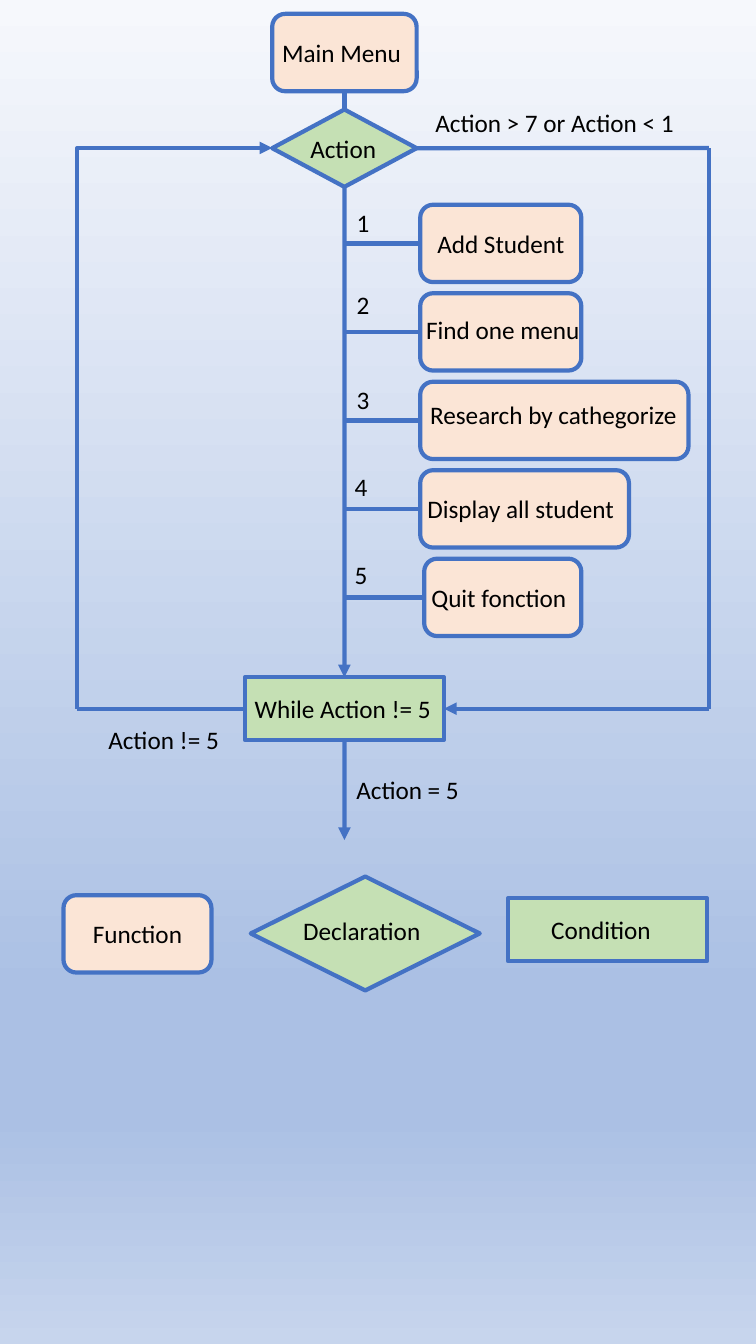
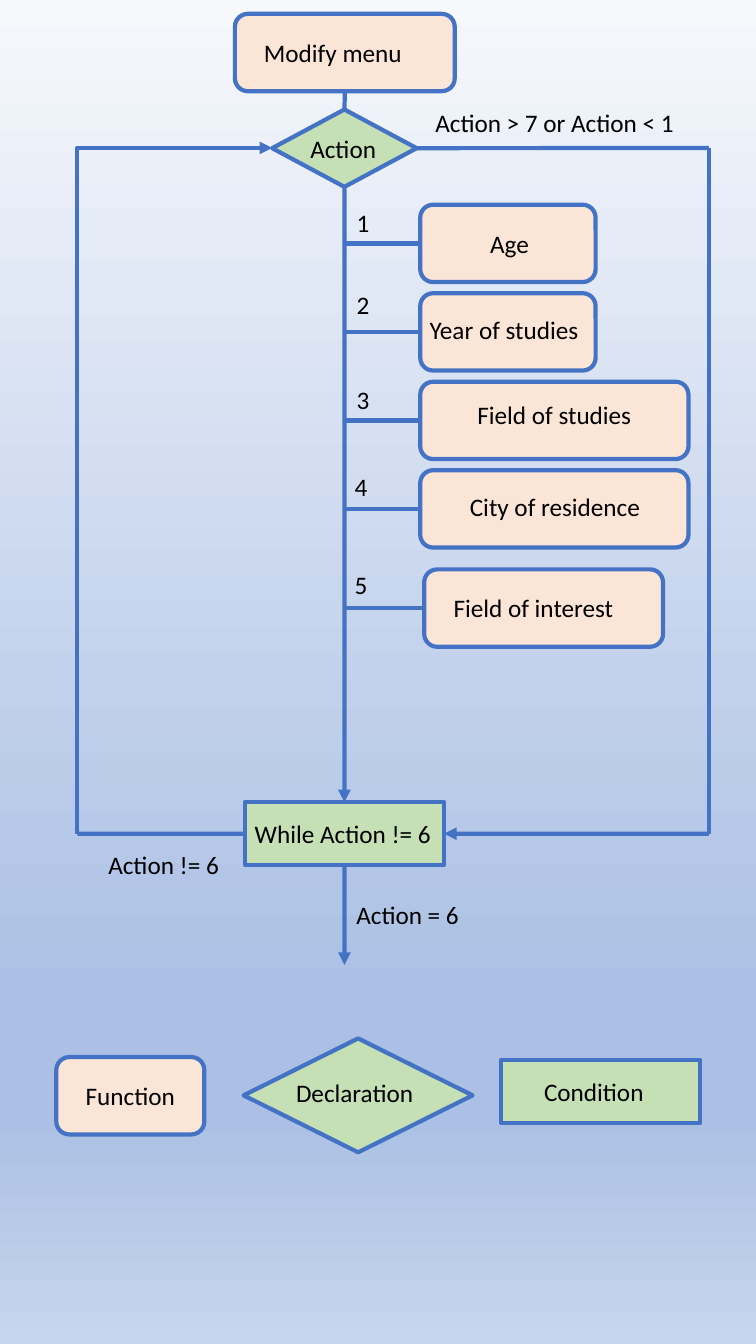
from dataclasses import dataclass

from lxml.etree import SubElement
from pptx import Presentation
from pptx.dml.color import RGBColor
from pptx.enum.shapes import MSO_CONNECTOR as Connector, MSO_SHAPE as Preset
from pptx.enum.text import MSO_AUTO_SIZE as AutoSize, PP_ALIGN as Align
from pptx.oxml.ns import qn
from pptx.util import Cm, Pt

TOP, LEFT, BOTTOM, RIGHT = range(4)


@dataclass(frozen=True)
class Theme:
    font: str = "Calibri"
    text_size: float = 18
    line_width: float = 3
    text: str = "000000"
    line: str = "4472C4"
    function: str = "FBE5D6"
    decision: str = "C5E0B4"
    backdrop: tuple = ((0, "F6F8FC"), (74, "ABC0E4"), (83, "ABC0E4"), (100, "C7D5ED"))


# Shared measures, in centimetres
CAPTION_HEIGHT = 1.02
CARD_HEIGHT = 1.95
CONDITION_SIZE = (5.02, 1.58)
SPINE_X = 8.68
DECISION_Y = 3.73
LOOP_LEFT, LOOP_RIGHT = 1.95, 17.86
STEP_X, STEP_Y, STEP_PITCH = 10.59, 5.16, 2.23


@dataclass
class Step:
    text: str
    width: float
    caption_left: float
    caption_width: float
    number_at: tuple
    shift: float = 0
    align: Align = Align.LEFT
    left: float = STEP_X
    drop: float = 0


class Flowchart:
    """Draws flowchart parts on the current slide in one style."""

    def __init__(self, theme):
        self.theme = theme
        self.presentation = Presentation()
        self.presentation.slide_width = Cm(19.05)
        self.presentation.slide_height = Cm(33.87)
        self.slide = None
        self.paint_backdrop()

    def paint_backdrop(self):
        master = self.presentation.slide_master
        fill = master.background.fill
        fill.gradient()
        fill.gradient_angle = 270
        stops = master.element.find(".//" + qn("a:gsLst"))
        for stop in list(stops):
            stops.remove(stop)
        for percent, color in self.theme.backdrop:
            stop = SubElement(stops, qn("a:gs"), pos=str(percent * 1000))
            SubElement(stop, qn("a:srgbClr"), val=color)

    def new_slide(self):
        self.slide = self.presentation.slides.add_slide(self.presentation.slide_layouts[6])

    def style_line(self, line):
        line.color.rgb = RGBColor.from_string(self.theme.line)
        line.width = Pt(self.theme.line_width)

    def text(self, words, left, top, width, align=Align.LEFT, wrap=True):
        box = self.slide.shapes.add_textbox(Cm(left), Cm(top), Cm(width), Cm(CAPTION_HEIGHT))
        frame = box.text_frame
        frame.word_wrap = wrap
        frame.auto_size = AutoSize.SHAPE_TO_FIT_TEXT
        paragraph = frame.paragraphs[0]
        paragraph.alignment = align
        run = paragraph.add_run()
        run.text = words
        run.font.name = self.theme.font
        run.font.size = Pt(self.theme.text_size)
        run.font.color.rgb = RGBColor.from_string(self.theme.text)

    def node(self, preset, color, words, left, top, width, height,
             caption_left, caption_width, align=Align.LEFT, shift=0):
        """A filled shape with its caption at mid-height, moved by shift."""
        shape = self.slide.shapes.add_shape(preset, Cm(left), Cm(top), Cm(width), Cm(height))
        shape.shadow.inherit = False
        shape.fill.solid()
        shape.fill.fore_color.rgb = RGBColor.from_string(color)
        self.style_line(shape.line)
        caption_top = top + (height - CAPTION_HEIGHT) / 2 + shift
        self.text(words, caption_left, caption_top, caption_width, align)
        return shape

    def function(self, words, left, top, width, *caption, **options):
        return self.node(Preset.ROUNDED_RECTANGLE, self.theme.function, words,
                         left, top, width, CARD_HEIGHT, *caption, **options)

    def decision(self, words, left, top, width, height, *caption, **options):
        return self.node(Preset.FLOWCHART_DECISION, self.theme.decision, words,
                         left, top, width, height, *caption, **options)

    def condition(self, words, left, top, *caption):
        return self.node(Preset.RECTANGLE, self.theme.decision, words,
                         left, top, *CONDITION_SIZE, *caption)

    def connector(self, kind, start, end, arrow):
        connector = self.slide.shapes.add_connector(kind, *map(Cm, start + end))
        self.style_line(connector.line)
        properties = connector.element.spPr
        if arrow:
            SubElement(properties.find(qn("a:ln")), qn("a:tailEnd"), type="triangle")
        SubElement(properties, qn("a:effectLst"))
        return connector

    def line(self, start, end, begin=None, finish=None, arrow=False):
        """A straight line; begin and finish are (shape, side) to join."""
        connector = self.connector(Connector.STRAIGHT, start, end, arrow)
        if begin:
            connector.begin_connect(*begin)
        if finish:
            connector.end_connect(*finish)

    def elbow(self, start, end):
        """An arrow that rises from start, then runs right to end."""
        connector = self.connector(Connector.ELBOW, start, end, True)
        run, rise = end[0] - start[0], start[1] - end[1]
        connector.left = Cm((start[0] + end[0] - rise) / 2)
        connector.top = Cm((start[1] + end[1] - run) / 2)
        connector.width, connector.height = Cm(rise), Cm(run)
        properties = connector.element.spPr
        properties.find(qn("a:prstGeom")).set("prst", "bentConnector2")
        frame = properties.find(qn("a:xfrm"))
        for name, value in (("rot", "5400000"), ("flipH", "1"), ("flipV", "1")):
            frame.set(name, value)

    def legend(self, left, top):
        self.function("Function", left, top, 3.73, left, 3.73, align=Align.CENTER)
        self.decision("Declaration", left + 4.72, top - 0.47, 5.77, 2.87,
                      left + 5.79, 3.56, shift=-0.06)
        self.condition("Condition", left + 11.2, top + 0.08, left + 12.04, 3.18)

    def menu(self, title, title_left, title_width, caption, steps, last, loop_top, legend_at):
        self.new_slide()
        loop_y = loop_top + CONDITION_SIZE[1] / 2
        loop_bottom = loop_top + CONDITION_SIZE[1]
        condition_left = SPINE_X - CONDITION_SIZE[0] / 2

        # Start, choice and loop test
        start = self.function(title, title_left, 0.35, title_width, *caption)
        choice = self.decision("Action", 6.86, 2.76, 3.64, 1.95, 7.57, 2.24)
        test = self.condition(f"While Action != {last}", condition_left, loop_top,
                              condition_left, CONDITION_SIZE[0])
        self.line((SPINE_X, 2.3), (SPINE_X, 2.76), (start, BOTTOM), (choice, TOP))
        self.line((SPINE_X, 4.71), (SPINE_X, loop_top), (choice, BOTTOM), (test, TOP), True)

        # Numbered steps
        for index, step in enumerate(steps):
            top = STEP_Y + index * STEP_PITCH + step.drop
            card = self.function(step.text, step.left, top, step.width, step.caption_left,
                                 step.caption_width, align=step.align, shift=step.shift)
            middle = top + CARD_HEIGHT / 2
            self.line((SPINE_X, middle), (step.left, middle), finish=(card, LEFT))
            self.text(str(index + 1), *step.number_at, 0.84, wrap=False)

        # Out of range: down the right side
        corner = (LOOP_RIGHT, DECISION_Y)
        lower_corner = (LOOP_RIGHT, loop_y)
        self.line((10.5, DECISION_Y), corner, begin=(choice, RIGHT))
        self.line(corner, lower_corner)
        self.line(lower_corner, (11.19, loop_y), finish=(test, RIGHT), arrow=True)
        self.text("Action > 7 or Action < 1", 10.72, 2.59, 6.6, wrap=False)

        # Repeat on the left, leave below
        self.line((condition_left, loop_y), (LOOP_LEFT, loop_y), begin=(test, LEFT))
        self.elbow((LOOP_LEFT, loop_y), (6.86, DECISION_Y))
        self.text(f"Action != {last}", 2.48, loop_top + 1.07, 3.35, wrap=False)
        self.line((SPINE_X, loop_bottom), (SPINE_X, loop_bottom + 2.52),
                  begin=(test, BOTTOM), arrow=True)
        self.text(f"Action = {last}", 8.73, loop_top + 2.31, 3.12, wrap=False)

        self.legend(*legend_at)


def main():
    chart = Flowchart(Theme())
    numbers = [(8.74, 5.11), (8.74, 7.16), (8.74, 9.55), (8.69, 11.76), (8.69, 13.97)]
    center = Align.CENTER

    # Main menu
    chart.menu("Main Menu", 6.86, 3.64, (6.86, 3.64), [
        Step("Add Student", 4.06, 10.77, 3.73, numbers[0]),
        Step("Find one menu", 4.06, 10.49, 4.42, numbers[1], -0.06),
        Step("Research by cathegorize", 6.76, 10.59, 6.76, numbers[2], -0.14),
        Step("Display all student", 5.26, 10.52, 5.26, numbers[3]),
        Step("Quit fonction", 3.96, 10.62, 3.96, numbers[4], left=10.69),
    ], last=5, loop_top=17.07, legend_at=(1.6, 22.56))

    # Modify menu
    chart.menu("Modify menu", 5.92, 5.54, (6.4, 4.7), [
        Step("Age", 4.42, 10.77, 4.14, numbers[0], align=center),
        Step("Year of studies", 4.42, 10.49, 4.42, numbers[1], -0.06, center),
        Step("Field of studies", 6.76, 10.59, 6.76, numbers[2], -0.14, center),
        Step("City of residence", 6.76, 10.19, 7.59, numbers[3], -0.06, center),
        Step("Field of interest", 6.02, 11.18, 5.56, (8.69, 14.22), left=10.69, drop=0.27),
    ], last=6, loop_top=20.22, legend_at=(1.42, 26.64))

    chart.presentation.save("out.pptx")


if __name__ == "__main__":
    main()
